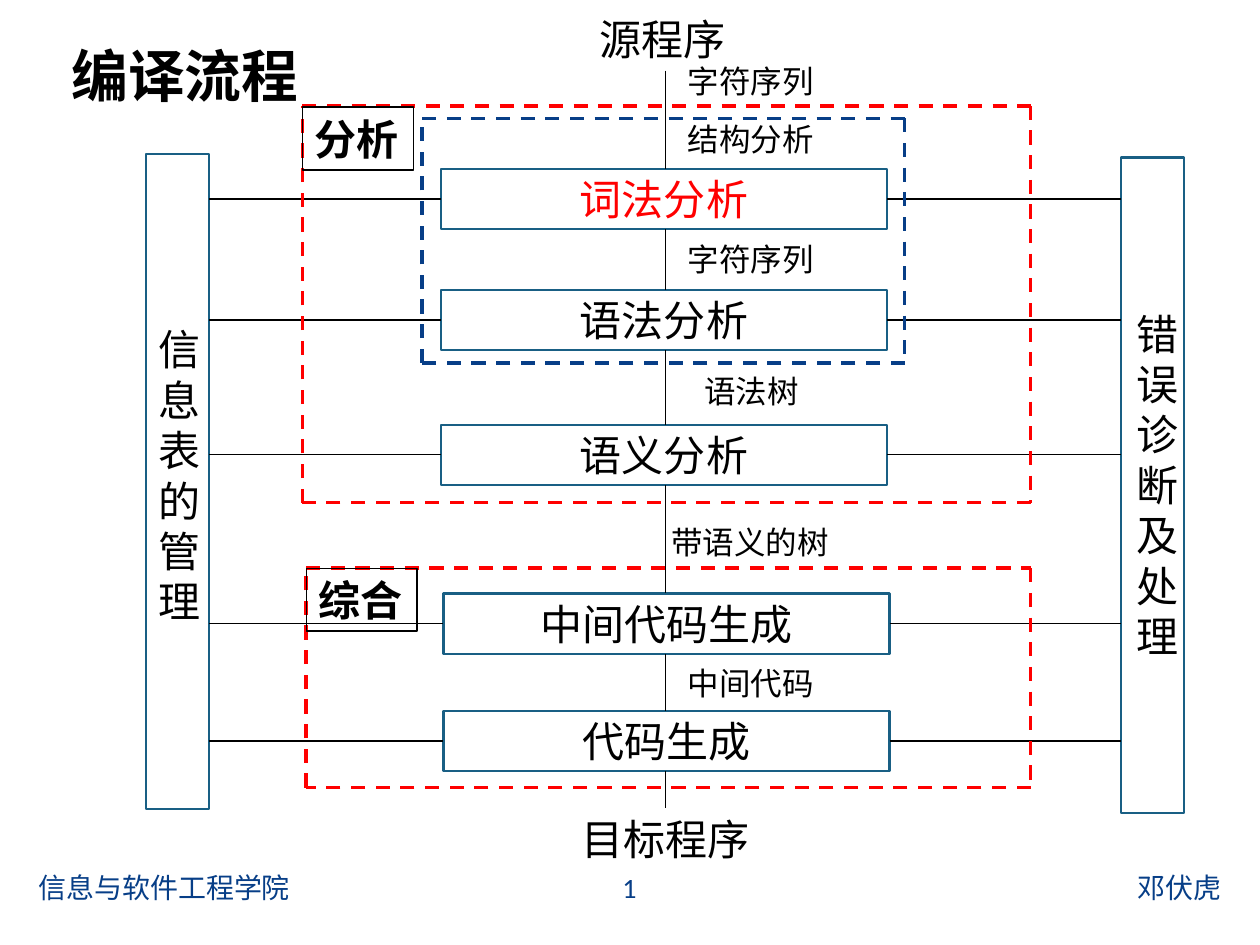
import pptx
import pptx.util
import pptx.dml.color
import pptx.enum.dml
import pptx.enum.shapes
import pptx.enum.text
from dataclasses import dataclass
from lxml import etree

ALIGN = pptx.enum.text.PP_ALIGN
ANCHOR = pptx.enum.text.MSO_ANCHOR
RECT = pptx.enum.shapes.MSO_SHAPE.RECTANGLE
LINE = pptx.enum.shapes.MSO_CONNECTOR.STRAIGHT
DASH = pptx.enum.dml.MSO_LINE.DASH


@dataclass(frozen=True)
class Theme:
    ink: str = "000000"
    red: str = "FF0000"
    navy: str = "073E87"
    edge: str = "195F84"
    body: str = "Calibri"
    head: str = "Arial"
    title: float = 32.4
    step: float = 24
    note: float = 18
    foot: float = 16
    thin: float = 0.75
    rim: float = 1.25
    bold: float = 2


T = Theme()

# The slide is a grid of 100 columns by 75 rows, one tenth of an inch each
COLS, ROWS = 100, 75
BOX_W, BOX_H = 35.4, 4.8
BAR_W, BAR_H = 5, 52
MID = 52.8

# Compiler steps: name, left column, top row, colour
STEPS = [
    ("词法分析", 35, 13.4, T.red),
    ("语法分析", 35, 23, T.ink),
    ("语义分析", 35, 33.7, T.ink),
    ("中间代码生成", 35.2, 47.1, T.ink),
    ("代码生成", 35.2, 56.4, T.ink),
]
# What passes between steps: text, left column, top row, width
NOTES = [
    ("字符序列", 53.6, 4.4, 12.1),
    ("结构分析", 53.6, 9, 12.1),
    ("字符序列", 53.6, 18.6, 12.1),
    ("语法树", 54.9, 29, 9.6),
    ("带语义的树", 52.3, 41, 14.6),
    ("中间代码", 53.6, 52.2, 12.1),
]


def unit(n):
    return pptx.util.Inches(n / 10)


def tint(code):
    return pptx.dml.color.RGBColor.from_string(code)


def write(shape, text, size, color=T.ink, font=T.body, bold=False,
          align=ALIGN.LEFT, anchor=ANCHOR.MIDDLE, wrap=True):
    frame = shape.text_frame
    frame.word_wrap = wrap
    frame.vertical_anchor = anchor
    para = frame.paragraphs[0]
    para.alignment = align
    run = para.add_run()
    run.text = text
    run.font.size = pptx.util.Pt(size)
    run.font.name = font
    run.font.bold = bold
    run.font.color.rgb = tint(color)


def label(slide, at, text, size, **look):
    write(slide.shapes.add_textbox(*map(unit, at)), text, size, **look)


def frame(slide, at, color, width):
    shape = slide.shapes.add_shape(RECT, *map(unit, at))
    shape.shadow.inherit = False
    shape.fill.background()
    shape.line.color.rgb = tint(color)
    shape.line.width = pptx.util.Pt(width)
    return shape


def line(slide, start, end, color=T.ink, width=T.thin, dash=None):
    link = slide.shapes.add_connector(LINE, *map(unit, (*start, *end)))
    link.line.color.rgb = tint(color)
    link.line.width = pptx.util.Pt(width)
    if dash:
        link.line.dash_style = dash
    props = link._element.spPr
    etree.SubElement(props, pptx.oxml.ns.qn("a:effectLst"))


def zone(slide, left, top, right, low, color):
    """Dashed border made of four lines."""
    ends = [(left, top), (right, top), (right, low), (left, low)]
    for start, end in zip(ends, ends[1:] + ends[:1]):
        line(slide, start, end, color, T.bold, DASH)


def bar(slide, left, top, text, text_at):
    """Tall side bar whose narrow text stacks one character per line."""
    frame(slide, (left, top, BAR_W, BAR_H), T.edge, T.rim)
    label(slide, text_at, text, T.step)


def step(slide, name, left, top, color):
    frame(slide, (left, top, BOX_W, BOX_H), T.edge, T.rim)
    label(slide, (left, top - 0.1, BOX_W, 5), name, T.step,
          color=color, align=ALIGN.CENTER)
    # Links to both side bars
    mid = top + BOX_H / 2
    line(slide, (16.6, mid), (left, mid))
    line(slide, (left + BOX_W, mid), (89, mid))


def tag(slide, left, top, text):
    shape = frame(slide, (left, top, 8.8, 5), T.ink, T.thin)
    write(shape, text, T.step, bold=True, anchor=ANCHOR.TOP, wrap=False)


def footer(slide):
    parts = [
        ("信息与软件工程学院", 2.1, 41.4, ALIGN.LEFT),
        ("1", 43.6, 12.7, ALIGN.CENTER),
        ("邓伏虎", 56.5, 41.4, ALIGN.RIGHT),
    ]
    for text, left, width, align in parts:
        label(slide, (left, 68.4, width, 4), text, T.foot,
              color=T.navy, align=align)


def main():
    deck = pptx.Presentation()
    deck.slide_width, deck.slide_height = unit(COLS), unit(ROWS)
    slide = deck.slides.add_slide(deck.slide_layouts[6])

    # Title and footer
    footer(slide)
    label(slide, (4.7, 0.8, 21.7, 10.2), "编译流程", T.title,
          font=T.head, bold=True)

    # Side bars
    bar(slide, 11.6, 12.2, "信息表的管理", (11.6, 25.1, BAR_W, 25.2))
    bar(slide, 89, 12.5, "错误诊断及处理", (89.2, 23.8, BAR_W, 29.3))

    # Source, steps and target
    label(slide, (46.6, 0.6, 12.1, 5), "源程序", T.step,
          anchor=ANCHOR.TOP, wrap=False)
    for item in STEPS:
        step(slide, *item)
    label(slide, (45.2, 64.1, 15.5, 5), "目标程序", T.step,
          anchor=ANCHOR.TOP, wrap=False)

    # Flow from each stage down to the next
    tops = [row for _, _, row, _ in STEPS]
    starts = [5.6] + [top + BOX_H for top in tops]
    for start, end in zip(starts, tops + [64.1]):
        line(slide, (MID, start), (MID, end))

    # Analysis and synthesis zones
    zone(slide, 24, 8.4, 81.8, 39.9, T.red)
    tag(slide, 24, 8.5, "分析")
    zone(slide, 24.3, 45.1, 81.8, 62.5, T.red)
    tag(slide, 24.3, 45.1, "综合")
    zone(slide, 33.5, 9.4, 71.8, 28.8, T.navy)

    # Notes beside the flow
    for text, left, top, width in NOTES:
        label(slide, (left, top, width, 4), text, T.note,
              anchor=ANCHOR.TOP, wrap=False)

    deck.save("out.pptx")


if __name__ == "__main__":
    main()
